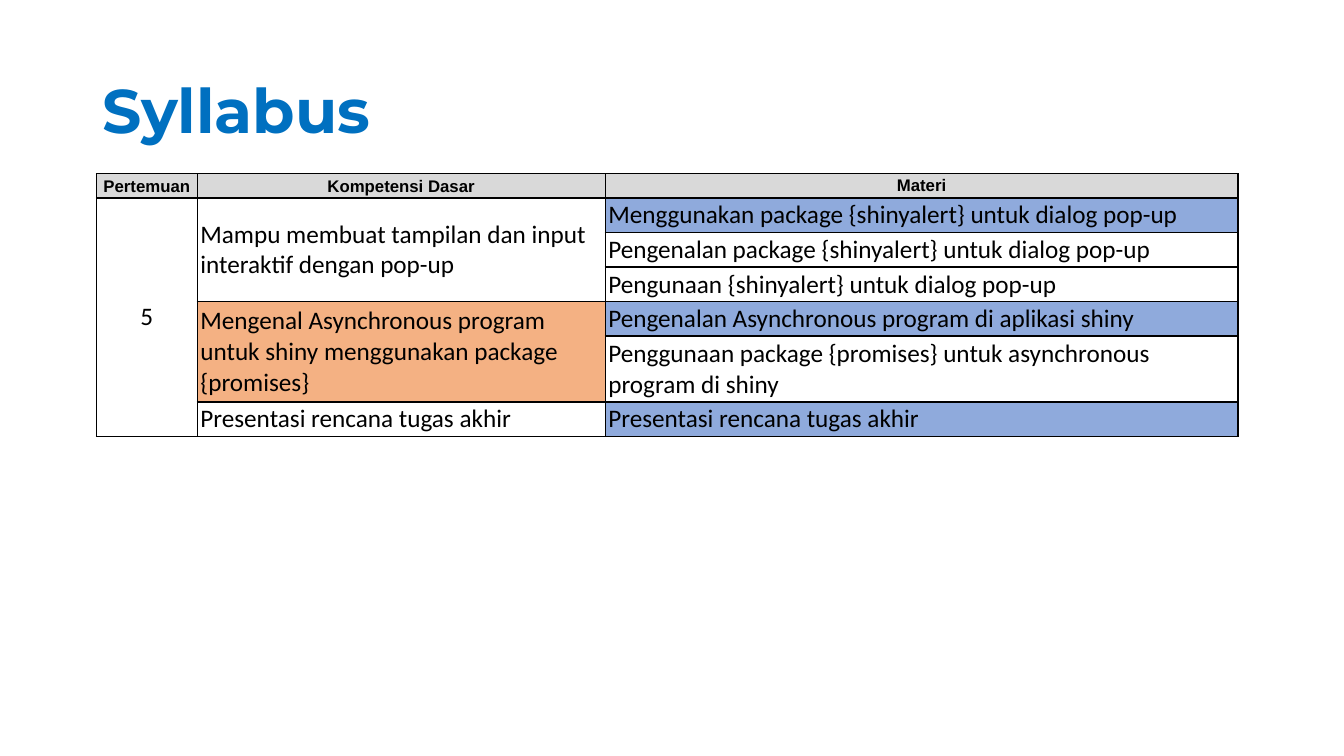
from lxml.etree import SubElement
from pptx import Presentation
from pptx.dml.color import RGBColor
from pptx.enum.text import MSO_ANCHOR, PP_ALIGN
from pptx.oxml.ns import qn
from pptx.util import Cm, Pt

COLORS = {
    "title": "0070C0",
    "text": "000000",
    "header": "D9D9D9",
    "plain": "FFFFFF",
    "topic": "8FAADC",
    "competency": "F4B183",
}
COLUMN_WIDTHS = [2.54, 10.28, 15.95]
ROW_HEIGHTS = [0.56, 0.87, 0.87, 0.87, 0.87, 1.66, 0.87]
HEADERS = ["Pertemuan", "Kompetensi Dasar", "Materi"]

# Each competency: text, fill, anchor and its materials; the first or only marked ones are topics
COMPETENCIES = [
    ("Mampu membuat tampilan dan input interaktif dengan pop-up", "plain", MSO_ANCHOR.MIDDLE, [
        "Menggunakan package {shinyalert} untuk dialog pop-up",
        "Pengenalan package {shinyalert} untuk dialog pop-up",
        "Pengunaan {shinyalert} untuk dialog pop-up",
    ]),
    ("Mengenal Asynchronous program untuk shiny menggunakan package {promises}",
     "competency", MSO_ANCHOR.MIDDLE, [
        "Pengenalan Asynchronous program di aplikasi shiny",
        "Penggunaan package {promises} untuk asynchronous program di shiny",
    ]),
    ("Presentasi rencana tugas akhir", "plain", MSO_ANCHOR.BOTTOM, [
        "Presentasi rencana tugas akhir",
    ]),
]


def write(paragraph, text, font_name, size, color, bold=False):
    paragraph.text = text
    font = paragraph.font
    font.name, font.size, font.bold = font_name, Pt(size), bold
    font.color.rgb = RGBColor.from_string(COLORS[color])


def add_borders(cell):
    """Draw a thin black line on all four sides of a table cell."""
    properties = cell._tc.get_or_add_tcPr()
    for side in ("a:lnL", "a:lnR", "a:lnT", "a:lnB"):
        line = SubElement(properties, qn(side), w=str(Pt(1)))
        fill = SubElement(line, qn("a:solidFill"))
        SubElement(fill, qn("a:srgbClr"), val=COLORS["text"])


presentation = Presentation()
presentation.slide_width, presentation.slide_height = Cm(33.87), Cm(19.05)
slide = presentation.slides.add_slide(presentation.slide_layouts[6])

# Title
title = slide.shapes.add_textbox(Cm(2.33), Cm(1.01), Cm(29.21), Cm(3.68)).text_frame
title.word_wrap = True
title.vertical_anchor = MSO_ANCHOR.MIDDLE
title.paragraphs[0].line_spacing = 0.9
write(title.paragraphs[0], "Syllabus", "Montserrat", 44, "title", bold=True)

# Syllabus table
table = slide.shapes.add_table(
    len(ROW_HEIGHTS), len(COLUMN_WIDTHS), Cm(2.43), Cm(4.38),
    Cm(sum(COLUMN_WIDTHS)), Cm(sum(ROW_HEIGHTS))).table
table.first_row = table.horz_banding = False
for column, width in zip(table.columns, COLUMN_WIDTHS):
    column.width = Cm(width)
for row, height in zip(table.rows, ROW_HEIGHTS):
    row.height = Cm(height)

for cell in table.iter_cells():
    cell.margin_left = cell.margin_right = Cm(0.08)
    cell.margin_top = cell.margin_bottom = Cm(0.05)
    cell.vertical_anchor = MSO_ANCHOR.MIDDLE
    add_borders(cell)
    cell.fill.solid()
    cell.fill.fore_color.rgb = RGBColor.from_string(COLORS["plain"])

for column_index, header in enumerate(HEADERS):
    cell = table.cell(0, column_index)
    cell.fill.fore_color.rgb = RGBColor.from_string(COLORS["header"])
    if header != "Materi":
        cell.vertical_anchor = MSO_ANCHOR.BOTTOM
    paragraph = cell.text_frame.paragraphs[0]
    paragraph.alignment = PP_ALIGN.CENTER
    write(paragraph, header, "Arial", 12, "text", bold=True)

meeting = table.cell(1, 0)
meeting.merge(table.cell(len(ROW_HEIGHTS) - 1, 0))
meeting.text_frame.paragraphs[0].alignment = PP_ALIGN.CENTER
write(meeting.text_frame.paragraphs[0], "5", "Calibri", 18, "text")

first_row = 1
for competency, fill, anchor, materials in COMPETENCIES:
    cell = table.cell(first_row, 1)
    if len(materials) > 1:
        cell.merge(table.cell(first_row + len(materials) - 1, 1))
    cell.vertical_anchor = anchor
    cell.fill.fore_color.rgb = RGBColor.from_string(COLORS[fill])
    write(cell.text_frame.paragraphs[0], competency, "Calibri", 18, "text")

    topic = table.cell(first_row, 2)
    topic.fill.fore_color.rgb = RGBColor.from_string(COLORS["topic"])
    for row_index, material in enumerate(materials, first_row):
        paragraph = table.cell(row_index, 2).text_frame.paragraphs[0]
        write(paragraph, material, "Calibri", 18, "text")
    first_row += len(materials)

presentation.save("out.pptx")
